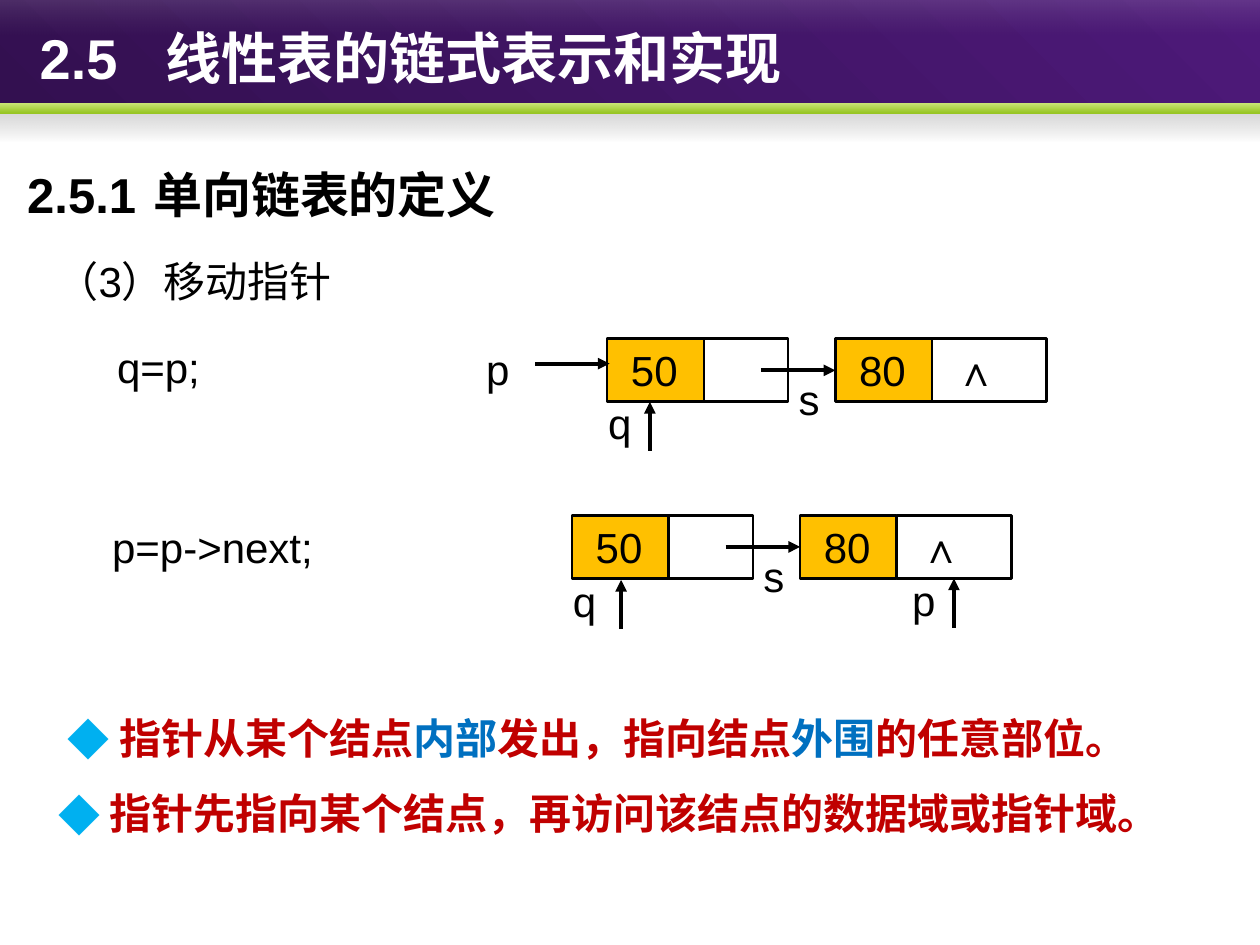
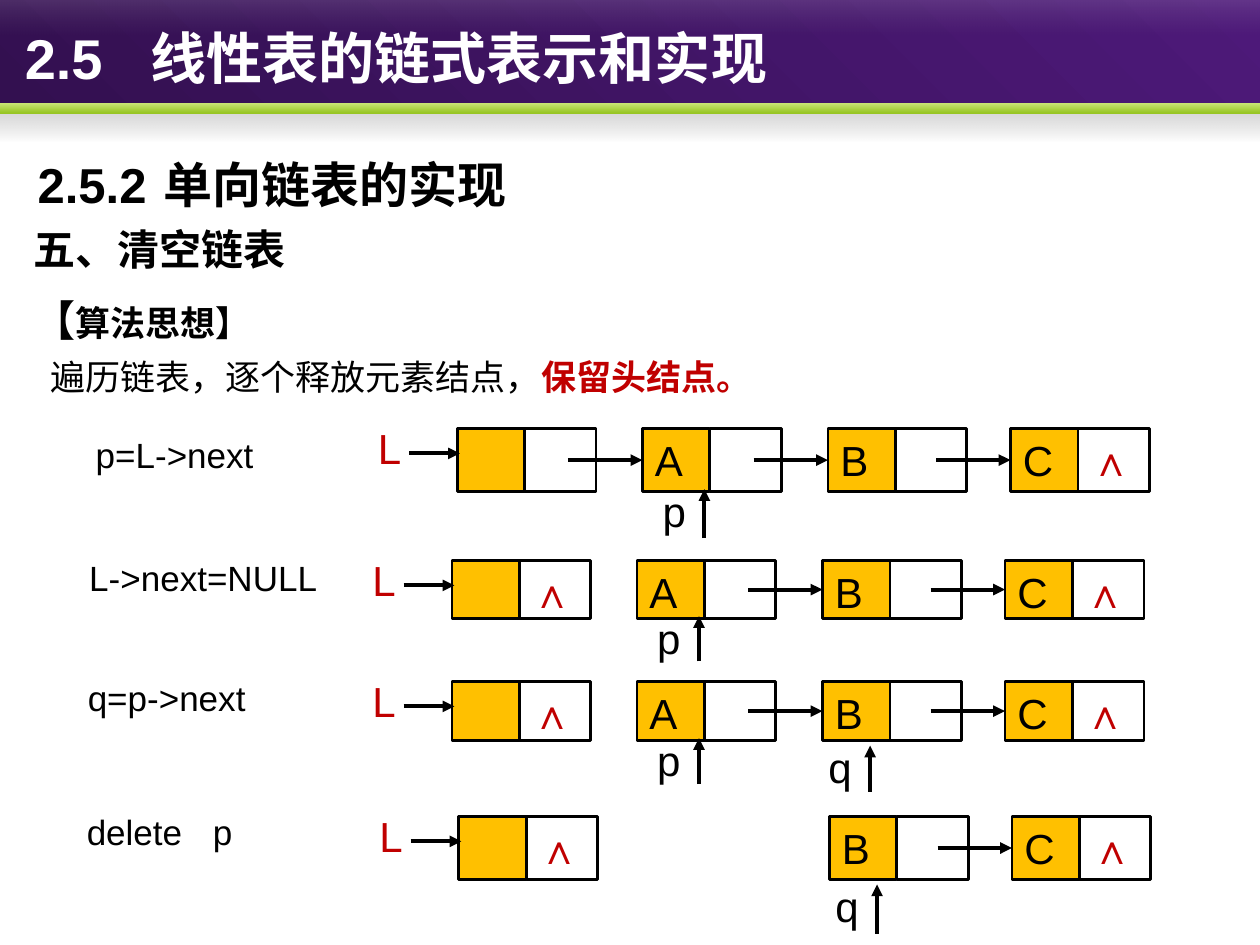
from dataclasses import dataclass
from typing import NamedTuple, Optional

from lxml.etree import SubElement
from pptx import Presentation
from pptx.dml.color import RGBColor
from pptx.enum.shapes import MSO_CONNECTOR, MSO_SHAPE
from pptx.enum.text import MSO_ANCHOR, MSO_AUTO_SIZE, PP_ALIGN
from pptx.oxml import parse_xml
from pptx.oxml.ns import nsdecls, qn
from pptx.util import Cm, Pt

BLACK = RGBColor(0x00, 0x00, 0x00)
WHITE = RGBColor(0xFF, 0xFF, 0xFF)
RED = RGBColor(0xC0, 0x00, 0x00)
BLUE = RGBColor(0x00, 0x70, 0xC0)
SKY = RGBColor(0x00, 0xB0, 0xF0)
AMBER = RGBColor(0xFF, 0xC0, 0x00)
FONT = "Arial"
BULLET_FONT = "Noto Sans CJK SC"
INSET = 0.25
NULL_MARK = "∧"


class Band(NamedTuple):
    top: float
    height: float
    angle: int
    stops: tuple  # (position %, colour, opacity %)
    rotation: int = 0


class Span(NamedTuple):
    text: str
    color: Optional[RGBColor] = None
    size: Optional[int] = None
    bold: Optional[bool] = None


class Node(NamedTuple):
    offset: float
    value: str = ""
    mark: str = ""
    linked: bool = False
    link_width: float = 1.44


class Pointer(NamedTuple):
    name: str
    offset: float
    gap: float = 0
    name_shift: float = 0.84


class Head(NamedTuple):
    name: str
    color: RGBColor
    name_shift: float
    name_rise: float
    arrow_start: float


class Code(NamedTuple):
    text: str
    left: float
    top: float


@dataclass
class NodeStyle:
    data_width: float
    inset: float
    mark_color: RGBColor
    code_size: int


@dataclass
class ListRow:
    code: Code
    left: float
    top: float
    height: float
    nodes: list
    pointers: list
    head: Optional[Head] = None
    link_name: str = ""


BANDS = [
    Band(0, 2.29, 315, ((0, "331050", 100), (100, "4D1979", 100))),
    Band(2.24, 0.61, 90, ((0, "5C5C5C", 0), (100, "808080", 33)), 180),
    Band(2.08, 0.2, 90, ((0, "C9E576", 100), (100, "97C523", 100))),
    Band(0, 0.71, 90, ((0, "FFFFFF", 13), (100, "B6B6B6", 0))),
]

# Slide 1: moving pointers
WIDE = NodeStyle(data_width=1.95, inset=0.48, mark_color=BLACK, code_size=24)
PAIR = [Node(0, "50", linked=True, link_width=1.7),
        Node(4.6, "80", NULL_MARK, link_width=2.31)]
MOVE_ROWS = [
    ListRow(Code("q=p;", 2.11, 6.76), 12.24, 6.83, 1.27, PAIR, [Pointer("q", 0.86)],
            Head("p", BLACK, 2.69, 0.03, 1.45), "s"),
    ListRow(Code("p=p->next;", 2.01, 10.39), 11.53, 10.39, 1.27, PAIR,
            [Pointer("q", 0.99, 0.03, 0.97), Pointer("p", 7.7)], link_name="s"),
]
RULES = [
    (1.42, [Span("指针从某个结点"), Span("内部", BLUE), Span("发出，指向结点"),
            Span("外围", BLUE), Span("的任意部位。")]),
    (1.22, [Span("指针先指向某个结点，再访问该结点的数据域或指针域。")]),
]

# Slide 2: clearing the list
NARROW = NodeStyle(data_width=1.36, inset=INSET, mark_color=RED, code_size=20)
L_HEAD = Head("L", RED, 1.85, 0.25, 0.97)
EMPTY = Node(0, mark=NULL_MARK)
A = Node(3.73, "A", linked=True)
B = Node(7.47, "B", linked=True)
C = Node(11.15, "C", NULL_MARK)
P = Pointer("p", 4.98, -0.05)
Q = Pointer("q", 8.43, 0.1)
CLEAR_ROWS = [
    ListRow(Code("p=L->next", 1.68, 8.61), 9.22, 8.64, 1.27,
            [Node(0, linked=True), A, B, C], [P], L_HEAD),
    ListRow(Code("L->next=NULL", 1.55, 11.1), 9.11, 11.3, 1.17,
            [EMPTY, A, B, C], [P], L_HEAD),
    ListRow(Code("q=p->next", 1.52, 13.51), 9.11, 13.74, 1.19,
            [EMPTY, A, B, C], [P, Q], L_HEAD),
    ListRow(Code("delete\tp", 1.5, 16.21), 9.25, 16.46, 1.27,
            [EMPTY, B, C], [Q], L_HEAD),
]


def write(para, spans: list, size: int, color=BLACK, bold=False, tab: float = 0,
          indent: float = 0, bullet: str = "") -> None:
    """Fill a paragraph: bullet and tab first, then its font, then its spans."""
    props = para._p.get_or_add_pPr()
    props.set("marL", str(Cm(indent)))
    props.set("indent", str(Cm(-1.04) if bullet else 0))
    if bullet:
        SubElement(SubElement(props, qn("a:buClr")), qn("a:srgbClr"), val=str(SKY))
        SubElement(props, qn("a:buFont"), typeface=BULLET_FONT)
        SubElement(props, qn("a:buChar"), char=bullet)
    else:
        SubElement(props, qn("a:buNone"))
    if tab:
        SubElement(SubElement(props, qn("a:tabLst")), qn("a:tab"),
                   pos=str(Cm(tab)), algn="l")
    para.alignment = PP_ALIGN.LEFT
    para.space_before = Pt(0)
    font = para.font
    font.name, font.size, font.bold = FONT, Pt(size), bold
    font.color.rgb = color
    SubElement(props.find(qn("a:defRPr")), qn("a:ea"), typeface=FONT)
    for span in spans:
        run = para.add_run()
        run.text = span.text
        if span.color is not None:
            run.font.color.rgb = span.color
        if span.size is not None:
            run.font.size = Pt(span.size)
        if span.bold is not None:
            run.font.bold = span.bold


def prepare(frame, wrap=True, anchor=MSO_ANCHOR.TOP, inset: float = INSET) -> None:
    frame.word_wrap = wrap
    frame.auto_size = MSO_AUTO_SIZE.NONE
    frame.vertical_anchor = anchor
    frame.margin_left = Cm(inset)


def add_label(page, left: float, top: float, width: float, height: float,
              text: str, size: int, wrap=True, **style):
    box = page.shapes.add_textbox(Cm(left), Cm(top), Cm(width), Cm(height))
    prepare(box.text_frame, wrap)
    write(box.text_frame.paragraphs[0], [Span(text)], size, **style)
    return box


def place(shape, left: float, top: float, width: float, height: float) -> None:
    shape.left, shape.top = Cm(left), Cm(top)
    shape.width, shape.height = Cm(width), Cm(height)


def add_bands(page) -> None:
    group = page.shapes.add_group_shape()
    for band in BANDS:
        bar = group.shapes.add_shape(MSO_SHAPE.RECTANGLE, 0, Cm(band.top),
                                     Cm(25.4), Cm(band.height))
        bar.shadow.inherit = False
        bar.line.fill.background()
        bar.rotation = band.rotation
        stops = "".join(
            f'<a:gs pos="{pos * 1000}"><a:srgbClr val="{color}">'
            f'<a:alpha val="{opacity * 1000}"/></a:srgbClr></a:gs>'
            for pos, color, opacity in band.stops)
        bar._element.spPr.find(qn("a:prstGeom")).addnext(parse_xml(
            f'<a:gradFill {nsdecls("a")} rotWithShape="1"><a:gsLst>{stops}</a:gsLst>'
            f'<a:lin ang="{band.angle * 60000}" scaled="0"/></a:gradFill>'))
    page.shapes._spTree.insert(2, group._element)


def add_page(deck, heading: str, heading_left: float, heading_top: float,
             title_inset: float):
    """Add a slide with bands, chapter title and section heading."""
    page = deck.slides.add_slide(deck.slide_layouts[1])
    add_bands(page)
    title = page.shapes.title
    place(title, 0.25, 0, 25.15, 2.29)
    prepare(title.text_frame, anchor=MSO_ANCHOR.MIDDLE, inset=title_inset)
    write(title.text_frame.paragraphs[0], [Span("2.5\t线性表的链式表示和实现")],
          32, WHITE, True, tab=2.44)
    box = add_label(page, heading_left, heading_top, 17.55, 2.06, heading, 28,
                    bold=True, tab=2.97)
    box.text_frame.paragraphs[0].line_spacing = 1.5
    return page


def add_cell(page, left: float, top: float, width: float, height: float,
             text: str, style: NodeStyle, fill=None, color=BLACK, bold=False):
    cell = page.shapes.add_shape(MSO_SHAPE.RECTANGLE, Cm(left), Cm(top),
                                 Cm(width), Cm(height))
    cell.shadow.inherit = False
    cell.line.color.rgb = BLACK
    cell.line.width = Pt(1.5)
    if fill is None:
        cell.fill.background()
    else:
        cell.fill.solid()
        cell.fill.fore_color.rgb = fill
    if text:
        prepare(cell.text_frame, inset=style.inset)
        write(cell.text_frame.paragraphs[0], [Span(text)], 24, color, bold)
    return cell


def add_arrow(page, x1: float, y1: float, x2: float, y2: float, target=None) -> None:
    arrow = page.shapes.add_connector(MSO_CONNECTOR.STRAIGHT,
                                      Cm(x1), Cm(y1), Cm(x2), Cm(y2))
    if target is not None:
        arrow.end_connect(target, 1)
    arrow.line.color.rgb = BLACK
    arrow.line.width = Pt(2.25)
    SubElement(arrow.line._get_or_add_ln(), qn("a:tailEnd"), type="triangle")
    SubElement(arrow._element.spPr, qn("a:effectLst"))


def draw_row(page, row: ListRow, style: NodeStyle) -> None:
    code = row.code
    add_label(page, code.left, code.top, 6.2, 1.2, code.text, style.code_size, tab=2.49)
    # Nodes
    cells = []
    for node in row.nodes:
        left = row.left + node.offset
        cells.append(add_cell(page, left, row.top, style.data_width, row.height,
                              node.value, style, AMBER))
        add_cell(page, left + style.data_width, row.top, node.link_width, row.height,
                 node.mark, style, color=style.mark_color, bold=True)
    # Links to the next node
    middle = row.top + row.height / 2
    for node, following, target in zip(row.nodes, row.nodes[1:], cells[1:]):
        if node.linked:
            end = row.left + following.offset
            add_arrow(page, end - 1.5, middle, end, middle, target)
            if row.link_name:
                add_label(page, end - 0.99, row.top + 0.58, 0.94, 1.27,
                          row.link_name, 24, wrap=False)
    # Head pointer
    if row.head:
        head, level = row.head, row.top + 0.5
        add_label(page, row.left - head.name_shift, row.top - head.name_rise, 0.99,
                  row.height, head.name, 24, wrap=False, color=head.color)
        add_arrow(page, row.left - head.arrow_start, level, row.left + 0.05, level)
    # Pointers from below
    for pointer in row.pointers:
        x, tip = row.left + pointer.offset, row.top + row.height + pointer.gap
        add_arrow(page, x, tip + 0.78 * row.height, x, tip)
        box = add_label(page, x - pointer.name_shift, tip - 0.08, 0.48, 1,
                        pointer.name, 24, wrap=False)
        frame = box.text_frame
        frame.margin_left = frame.margin_right = 0
        frame.margin_top = frame.margin_bottom = 0


def build_moving_page(deck) -> None:
    page = add_page(deck, "2.5.1\t单向链表的定义", 0.3, 2.59, 0.55)
    body = page.placeholders[1]
    place(body, 0.74, 13.72, 23.9, 3.61)
    frame = body.text_frame
    prepare(frame)
    for index, (indent, spans) in enumerate(RULES):
        para = frame.add_paragraph() if index else frame.paragraphs[0]
        write(para, spans, 24, RED, True, indent=indent, bullet="◆")
        para.line_spacing = 1.5
    add_label(page, 0.89, 5.03, 7.75, 1.55, "（3）移动指针", 24)
    for row in MOVE_ROWS:
        draw_row(page, row, WIDE)


def build_clearing_page(deck) -> None:
    page = add_page(deck, "2.5.2\t单向链表的实现", 0.51, 2.39, INSET)
    body = page.placeholders[1]
    place(body, 0.43, 4.37, 23.09, 3.99)
    frame = body.text_frame
    prepare(frame)
    topic, idea, steps = frame.paragraphs[0], frame.add_paragraph(), frame.add_paragraph()
    write(topic, [Span("五、清空链表")], 24, bold=True)
    write(idea, [Span("【", size=24), Span("算法思想】")], 20, bold=True)
    write(steps, [Span("遍历链表，逐个释放元素结点，"),
                  Span("保留头结点。", RED, bold=True)], 20, indent=0.33)
    topic.space_after = idea.space_before = steps.space_before = Pt(6)
    for row in CLEAR_ROWS:
        draw_row(page, row, NARROW)


def main() -> None:
    deck = Presentation()
    deck.slide_width, deck.slide_height = Cm(25.4), Cm(19.05)
    build_moving_page(deck)
    build_clearing_page(deck)
    deck.save("out.pptx")


if __name__ == "__main__":
    main()
